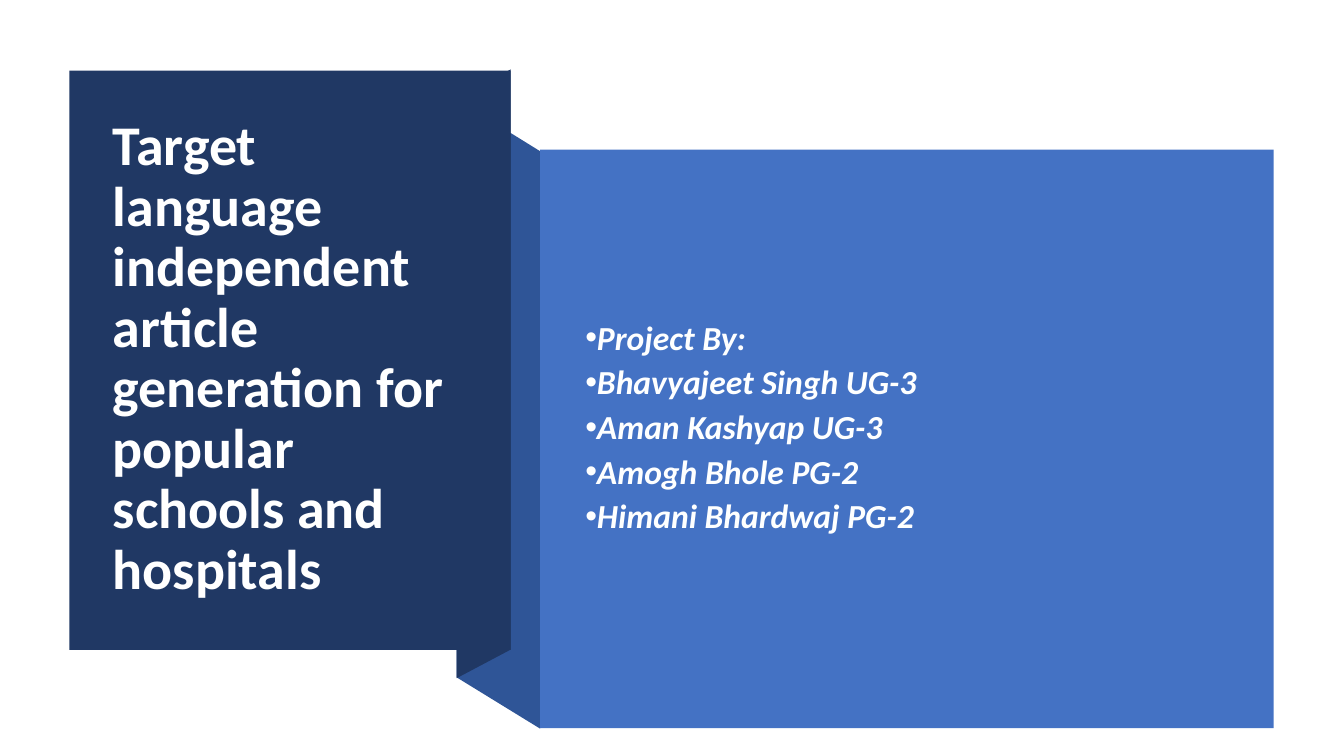
import pptx
import pptx.dml.color
import pptx.enum.shapes
import pptx.enum.text
import pptx.oxml
import pptx.oxml.ns
import pptx.util

Cm = pptx.util.Cm
RGBColor = pptx.dml.color.RGBColor

NAVY = RGBColor(0x20, 0x38, 0x64)
FOLD_BLUE = RGBColor(0x2F, 0x55, 0x97)
PANEL_BLUE = RGBColor(0x44, 0x72, 0xC4)
WHITE = RGBColor(0xFF, 0xFF, 0xFF)
NEAR_WHITE = RGBColor(0xFE, 0xFF, 0xFF)

TITLE_LINES = [
    "Target language independent",
    "article generation for popular schools and",
    "hospitals",
]
AUTHOR_LINES = [
    "Project By:",
    "Bhavyajeet Singh UG-3",
    "Aman Kashyap UG-3",
    "Amogh Bhole PG-2",
    "Himani Bhardwaj PG-2",
]


def write_text(box, lines, size, color, italic=False, space_after=0, bullet=None):
    """Fill a box with bold, left-aligned, vertically centred paragraphs."""
    frame = box.text_frame
    frame.word_wrap = True
    frame.auto_size = pptx.enum.text.MSO_AUTO_SIZE.NONE
    frame.vertical_anchor = pptx.enum.text.MSO_ANCHOR.MIDDLE
    for index, line in enumerate(lines):
        para = frame.add_paragraph() if index else frame.paragraphs[0]
        para.alignment = pptx.enum.text.PP_ALIGN.LEFT
        para.line_spacing = 0.9
        para.space_before = pptx.util.Pt(0)
        para.space_after = pptx.util.Pt(space_after)
        span = para.add_run()
        span.text = line
        span.font.name = "Calibri"
        span.font.size = pptx.util.Pt(size)
        span.font.bold = True
        span.font.italic = italic
        span.font.color.rgb = color
        if bullet:
            properties = para._p.get_or_add_pPr()
            properties.set("marL", "0")
            properties.set("indent", str(-Cm(0.64)))
            namespace = pptx.oxml.ns.nsdecls("a")
            for tag in (f'<a:buFont {namespace} typeface="Arial"/>',
                        f'<a:buChar {namespace} char="{bullet}"/>'):
                properties.append(pptx.oxml.parse_xml(tag))


class RibbonSlide:
    """Hold the page and draw its flat panels, folds and text."""

    def __init__(self, deck):
        self.page = deck.slides.add_slide(deck.slide_layouts[5])
        self.shapes = self.page.shapes

    def paint(self, shape, color):
        """Give a shape a flat fill without outline or shadow."""
        shape.fill.solid()
        shape.fill.fore_color.rgb = color
        shape.line.fill.background()
        shape.shadow.inherit = False

    def fold(self, points, color):
        """Draw a closed outline through points given in centimetres."""
        start, *others = [(Cm(x), Cm(y)) for x, y in points]
        builder = self.shapes.build_freeform(*start)
        builder.add_line_segments(others, close=True)
        self.paint(builder.convert_to_shape(), color)

    def panel(self, left, top, width, height, color):
        """Draw a plain rectangle."""
        kind = pptx.enum.shapes.MSO_SHAPE.RECTANGLE
        shape = self.shapes.add_shape(kind, Cm(left), Cm(top), Cm(width), Cm(height))
        self.paint(shape, color)

    def title(self, left, top, width, height, lines, **style):
        """Place the title placeholder in front of the panels drawn so far."""
        box = self.shapes.title
        box.left, box.top, box.width, box.height = map(Cm, (left, top, width, height))
        self.shapes._spTree.append(box._element)
        write_text(box, lines, **style)

    def text(self, left, top, width, height, lines, **style):
        """Add a text box."""
        box = self.shapes.add_textbox(Cm(left), Cm(top), Cm(width), Cm(height))
        write_text(box, lines, **style)


def main():
    """Build the title slide and save it."""
    deck = pptx.Presentation()
    deck.slide_width, deck.slide_height = Cm(33.87), Cm(19.05)
    slide = RibbonSlide(deck)
    slide.fold([(13.61, 18.36), (11.51, 17.07), (11.51, 2.51), (13.61, 3.81)], FOLD_BLUE)
    slide.fold([(12.87, 16.37), (11.51, 17.09), (11.51, 2.49), (12.87, 1.75)], NAVY)
    slide.panel(1.75, 1.78, 11.12, 14.6, NAVY)
    slide.title(2.59, 2.72, 9.42, 12.67, TITLE_LINES, size=40, color=WHITE)
    slide.panel(13.61, 3.77, 18.49, 14.58, PANEL_BLUE)
    slide.text(14.5, 4.78, 16.54, 12.04, AUTHOR_LINES, size=24, color=NEAR_WHITE,
               italic=True, space_after=6, bullet="•")
    deck.save("out.pptx")


if __name__ == "__main__":
    main()
